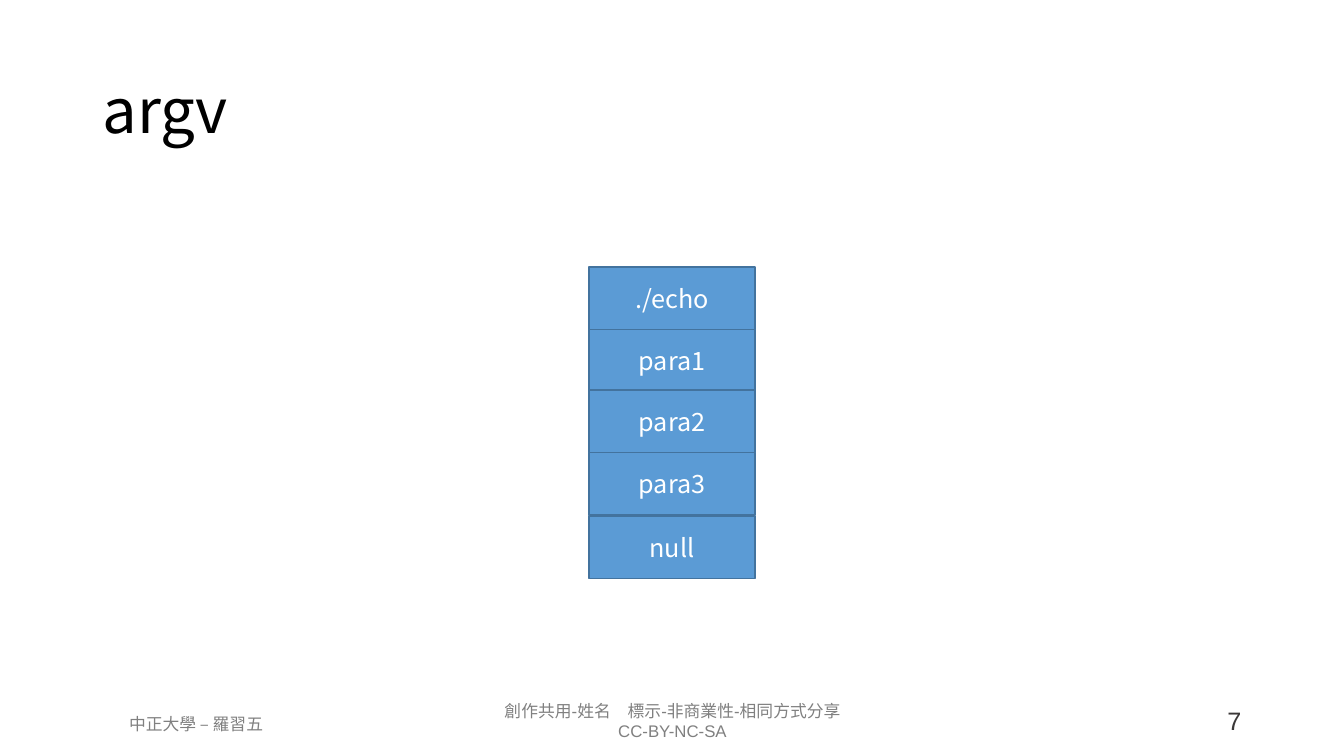
from pptx import Presentation
from pptx.dml.color import RGBColor
from pptx.enum import shapes, text
from pptx.oxml.ns import qn
from pptx.util import Inches, Pt

BLACK = RGBColor(0x00, 0x00, 0x00)
WHITE = RGBColor(0xFF, 0xFF, 0xFF)
GREY = RGBColor(0x80, 0x80, 0x80)
DARK = RGBColor(0x3B, 0x38, 0x38)
BLUE = RGBColor(0x5B, 0x9B, 0xD5)
EDGE = RGBColor(0x43, 0x73, 0x9E)
SANS = "Noto Sans CJK SC"
ALIGN = text.PP_ALIGN
ANCHOR = text.MSO_ANCHOR


def set_text(sp, content, size, font, color, align, anchor):
    tf = sp.text_frame
    tf.word_wrap = True
    tf.vertical_anchor = anchor
    tf.text = content
    for p in tf.paragraphs:
        p.alignment = align
        for r in p.runs:
            r.font.size = Pt(size)
            r.font.name = font
            r.font.color.rgb = color
            # East Asian typeface
            ea = r.font._element.makeelement(qn("a:ea"), {"typeface": SANS})
            r.font._element.append(ea)


prs = Presentation()
prs.slide_width = Inches(13.33)
prs.slide_height = Inches(7.5)
s = prs.slides.add_slide(prs.slide_layouts[6])

# Footer: licence, author, page number
footers = [
    (4.21, 6.9, 4.92, 0.5, "創作共用-姓名　標示-非商業性-相同方式分享\nCC-BY-NC-SA",
     12, GREY, ALIGN.CENTER),
    (0.69, 7.03, 2.51, 0.3, "中正大學 – 羅習五", 12, GREY, ALIGN.CENTER),
    (9.96, 6.95, 2.45, 0.4, "7", 18, DARK, ALIGN.RIGHT),
]
for left, top, width, height, content, size, color, align in footers:
    sp = s.shapes.add_textbox(Inches(left), Inches(top), Inches(width), Inches(height))
    set_text(sp, content, size, "Arial", color, align, ANCHOR.TOP)

# Title
title = s.shapes.add_textbox(Inches(0.92), Inches(0.4), Inches(11.5), Inches(1.45))
set_text(title, "argv", 44, SANS, BLACK, ALIGN.LEFT, ANCHOR.MIDDLE)
title.text_frame.paragraphs[0].line_spacing = 0.9

# Argument array, one box per entry
entries = [("./echo", 2.65), ("para1", 3.27), ("para2", 3.87), ("para3", 4.49), ("null", 5.12)]
for entry, top in entries:
    sp = s.shapes.add_shape(shapes.MSO_SHAPE.RECTANGLE, Inches(5.84), Inches(top),
                            Inches(1.65), Inches(0.62))
    sp.shadow.inherit = False
    sp.fill.solid()
    sp.fill.fore_color.rgb = BLUE
    sp.line.color.rgb = EDGE
    sp.line.width = Pt(1)
    set_text(sp, entry, 18, SANS, WHITE, ALIGN.CENTER, ANCHOR.MIDDLE)

prs.save("out.pptx")
